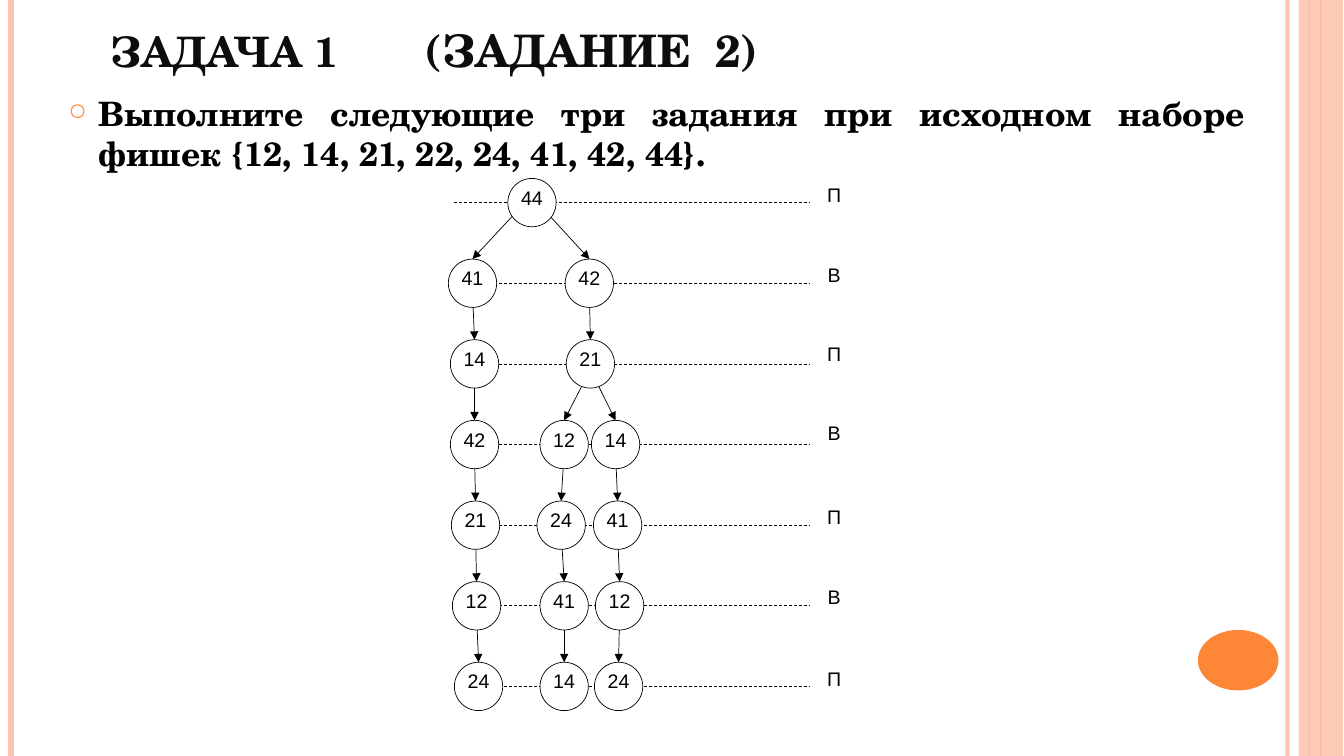
"""Build the slide with the game tree for problem 1, task 2."""
from math import sqrt

from lxml.etree import SubElement
from pptx import Presentation
from pptx.dml.color import RGBColor
from pptx.enum.dml import MSO_LINE
from pptx.enum.shapes import MSO_CONNECTOR, MSO_SHAPE
from pptx.enum.text import MSO_ANCHOR, PP_ALIGN
from pptx.oxml.ns import qn
from pptx.util import Inches, Pt

WHITE = RGBColor(0xFF, 0xFF, 0xFF)
BLACK = RGBColor(0x00, 0x00, 0x00)
TITLE_INK = RGBColor(0x0D, 0x0D, 0x0D)
ORANGE = RGBColor(0xFE, 0x86, 0x37)
PEACH = RGBColor(0xFE, 0xC3, 0xAE)
SERIF, SANS = "TeX Gyre Schola", "Arial"

WIDTH, HEIGHT = 13.34, 7.5
TITLE = [("ЗАДАЧА 1\t", 30), ("(ЗАДАНИЕ\t2)", 32)]
TITLE_TABS = (3.12, 6.0)
TASK = ("Выполните следующие три задания при исходном наборе "
        "фишек {12, 14, 21, 22, 24, 41, 42, 44}.")
STRIPES = [(12.78, PEACH, 3, 93), (0.11, PEACH, 4.5, 100),
           (13.11, ORANGE, 1.5, 100), (13.0, ORANGE, 0.75, 100)]

# Each level: player, top of the player's letter, nodes as (number, centre x, parent index)
LEVELS = [
    ("П", 1.77, [("44", 5.28, None)]),
    ("В", 2.56, [("41", 4.69, 0), ("42", 5.85, 0)]),
    ("П", 3.34, [("14", 4.71, 0), ("21", 5.86, 1)]),
    ("В", 4.13, [("42", 4.71, 0), ("12", 5.6, 1), ("14", 6.11, 1)]),
    ("П", 4.96, [("21", 4.72, 0), ("24", 5.57, 1), ("41", 6.13, 2)]),
    ("В", 5.75, [("12", 4.73, 0), ("41", 5.6, 1), ("12", 6.15, 2)]),
    ("П", 6.57, [("24", 4.75, 0), ("14", 5.6, 1), ("24", 6.14, 2)]),
]
FIRST_LEVEL, LEVEL_STEP = 2.01, 0.8
RADIUS = 0.24
GUIDE_LEFT, GUIDE_RIGHT = 4.51, 8.04
LETTER_LEFT, LETTER_SIZE = 8.05, (0.46, 0.48)


def set_opacity(shape, percent):
    if percent < 100:
        color = next(shape.element.spPr.iter(qn("a:srgbClr")))
        SubElement(color, qn("a:alpha"), val=str(percent * 1000))


def add_line(page, start, end, color=BLACK, width=0.5, dashed=False, arrow=False):
    line = page.shapes.add_connector(
        MSO_CONNECTOR.STRAIGHT, *[Inches(value) for value in (*start, *end)])
    line.line.color.rgb = color
    line.line.width = Pt(width)
    if dashed:
        line.line.dash_style = MSO_LINE.DASH
    properties = line.element.spPr
    if arrow:
        SubElement(properties.find(qn("a:ln")), qn("a:tailEnd"), type="triangle")
    SubElement(properties, qn("a:effectLst"))
    return line


def add_solid(page, preset, left, top, width, height, fill, outline=None):
    shape = page.shapes.add_shape(
        preset, Inches(left), Inches(top), Inches(width), Inches(height))
    shape.shadow.inherit = False
    shape.fill.solid()
    shape.fill.fore_color.rgb = fill
    if outline is None:
        shape.line.fill.background()
    else:
        shape.line.color.rgb = outline
        shape.line.width = Pt(0.5)
    return shape


def add_box(page, left, top, width, height):
    box = page.shapes.add_textbox(
        Inches(left), Inches(top), Inches(width), Inches(height))
    box.text_frame.word_wrap = True
    return box.text_frame


def write(para, text, size=14, font=SANS, color=BLACK, bold=False, align=None):
    if align is not None:
        para.alignment = align
    span = para.add_run()
    span.text = text
    span.font.size = Pt(size)
    span.font.name = font
    span.font.bold = bold
    span.font.color.rgb = color


def add_decor(page):
    for x, color, width, opacity in STRIPES:
        set_opacity(add_line(page, (x, 0), (x, HEIGHT), color, width), opacity)
    band = add_solid(page, MSO_SHAPE.RECTANGLE, 12.89, 0, 0.44, HEIGHT, PEACH)
    set_opacity(band, 87)
    add_solid(page, MSO_SHAPE.OVAL, 11.89, 6.25, 0.8, 0.6, ORANGE)


def add_title(page):
    frame = add_box(page, 1, 0, 11.13, 0.81)
    frame.vertical_anchor = MSO_ANCHOR.BOTTOM
    para = frame.paragraphs[0]
    tabs = SubElement(para._p.get_or_add_pPr(), qn("a:tabLst"))
    for stop in TITLE_TABS:
        SubElement(tabs, qn("a:tab"), pos=str(Inches(stop)), algn="l")
    for text, size in TITLE:
        write(para, text, size=size, font=SERIF, color=TITLE_INK, bold=True)


def add_task(page):
    para = add_box(page, 0.58, 0.87, 11.88, 5.96).paragraphs[0]
    properties = para._p.get_or_add_pPr()
    properties.set("marL", str(Inches(0.3)))
    properties.set("indent", str(-Inches(0.3)))
    SubElement(SubElement(properties, qn("a:buClr")), qn("a:srgbClr"), val=str(ORANGE))
    SubElement(properties, qn("a:buSzPct"), val="70000")
    SubElement(properties, qn("a:buChar"), char="○")
    write(para, TASK, size=24, font=SERIF, bold=True, align=PP_ALIGN.JUSTIFY)


def add_node(page, number, x, y):
    circle = add_solid(page, MSO_SHAPE.OVAL, x - RADIUS, y - RADIUS,
                       2 * RADIUS, 2 * RADIUS, WHITE, BLACK)
    frame = circle.text_frame
    frame.margin_left = frame.margin_right = frame.margin_top = frame.margin_bottom = 0
    frame.word_wrap = False
    frame.vertical_anchor = MSO_ANCHOR.TOP
    write(frame.paragraphs[0], number, align=PP_ALIGN.CENTER)


def add_move(page, parent_x, parent_y, child_x):
    shift = (child_x - parent_x) / 3
    start = (parent_x + shift, parent_y + sqrt(RADIUS ** 2 - shift ** 2))
    add_line(page, start, (child_x, parent_y + LEVEL_STEP - RADIUS), arrow=True)


def add_tree(page):
    heights = [FIRST_LEVEL + LEVEL_STEP * index for index in range(len(LEVELS))]
    for y in heights:
        add_line(page, (GUIDE_LEFT, y), (GUIDE_RIGHT, y), dashed=True)
    parents = []
    for y, (player, letter_top, nodes) in zip(heights, LEVELS):
        frame = add_box(page, LETTER_LEFT, letter_top, *LETTER_SIZE)
        frame.margin_left = frame.margin_right = 0
        write(frame.paragraphs[0], player, align=PP_ALIGN.CENTER)
        for number, x, parent in nodes:
            add_node(page, number, x, y)
            if parent is not None:
                add_move(page, parents[parent][1], y - LEVEL_STEP, x)
        parents = nodes


def main():
    deck = Presentation()
    deck.slide_width, deck.slide_height = Inches(WIDTH), Inches(HEIGHT)
    page = deck.slides.add_slide(deck.slide_layouts[6])
    add_decor(page)
    add_title(page)
    add_task(page)
    add_tree(page)
    deck.save("out.pptx")


if __name__ == "__main__":
    main()
